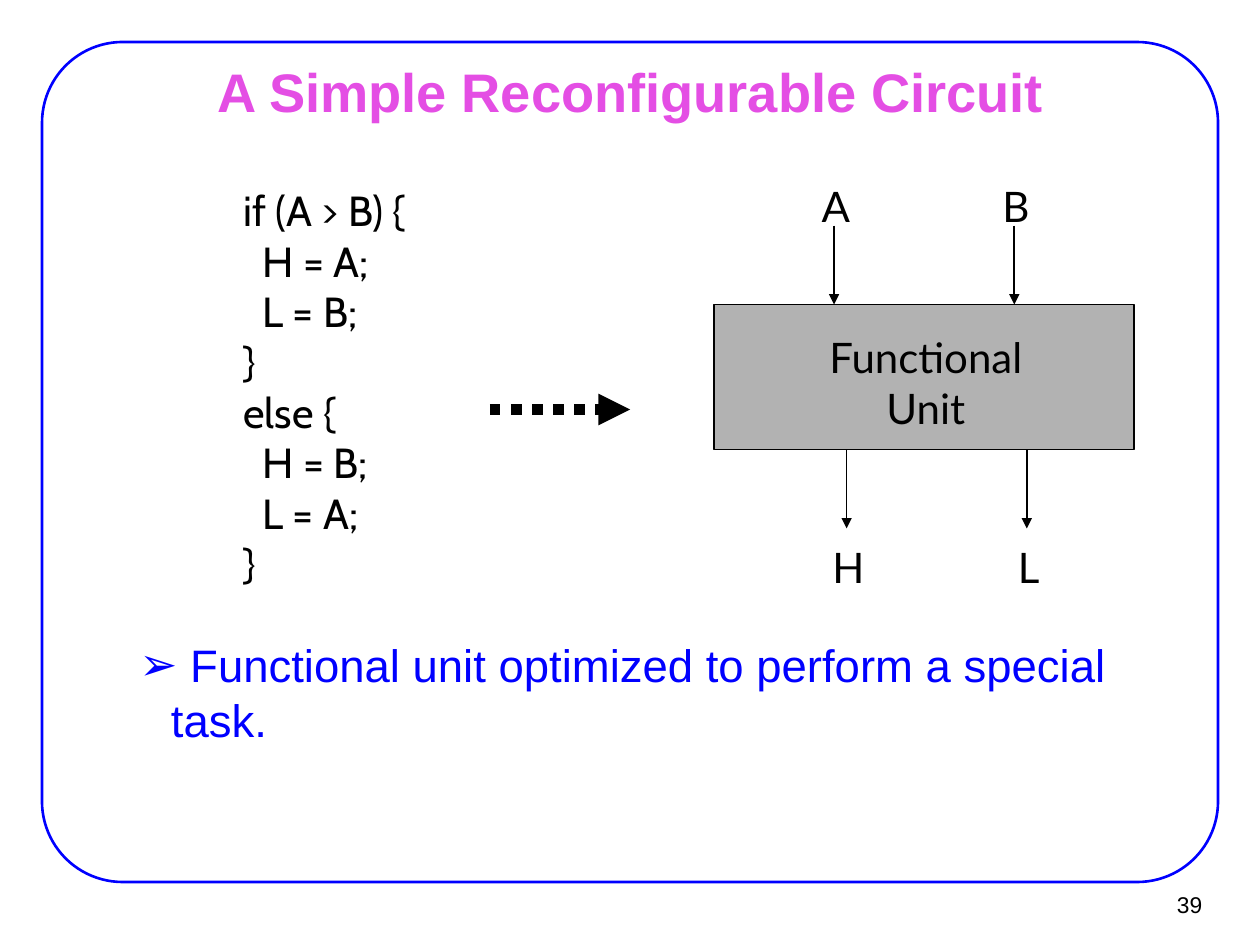
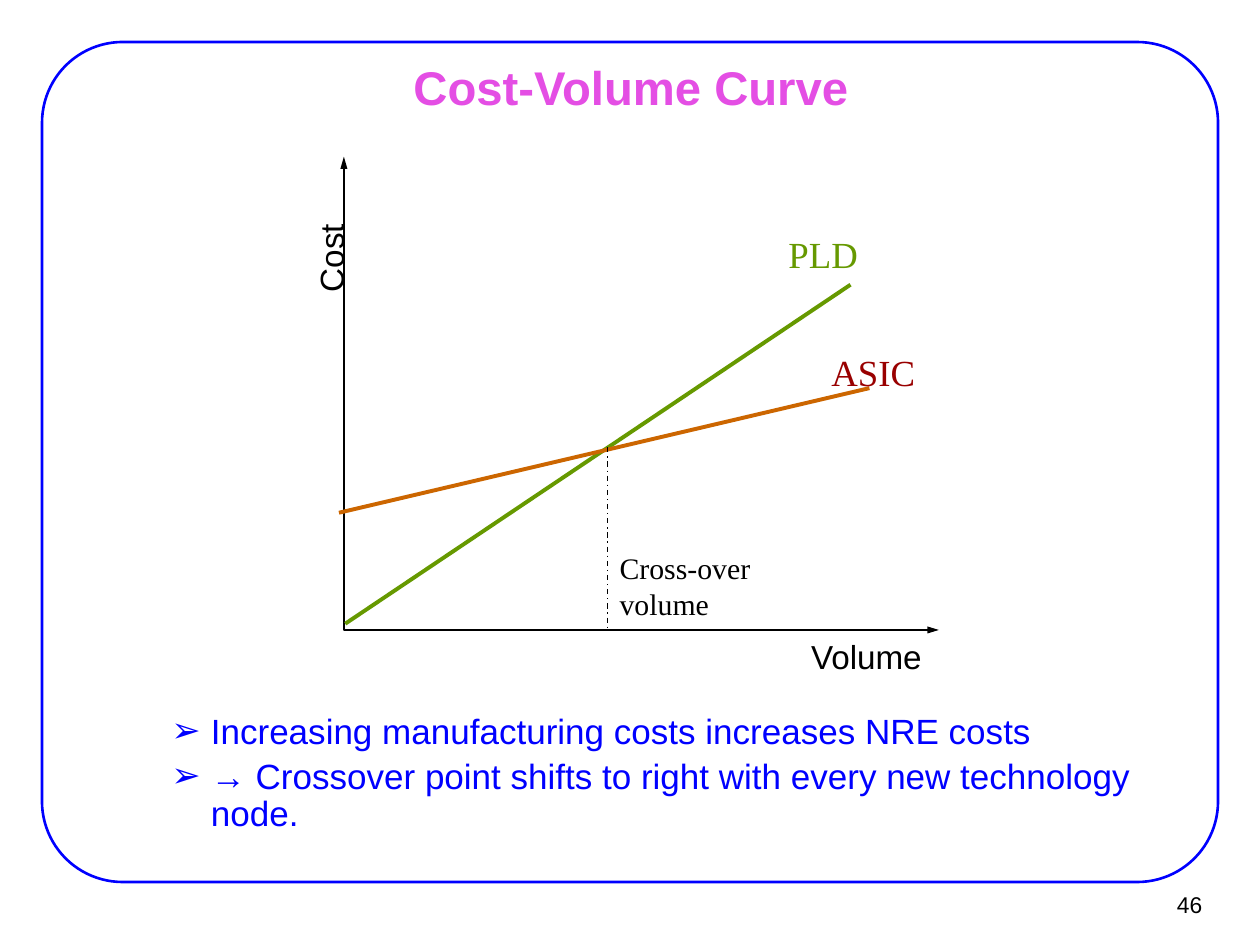
from lxml.etree import SubElement
from pptx import Presentation
from pptx.dml.color import RGBColor
from pptx.enum.dml import MSO_LINE as Dash
from pptx.enum.shapes import MSO_CONNECTOR as Connector, MSO_SHAPE as Shape
from pptx.enum.text import MSO_ANCHOR as Anchor, MSO_AUTO_SIZE as AutoSize, PP_ALIGN as Align
from pptx.oxml.ns import qn
from pptx.util import Pt

BLACK = RGBColor(0x00, 0x00, 0x00)
BLUE = RGBColor(0x00, 0x00, 0xFF)
PINK = RGBColor(0xE4, 0x4E, 0xE4)
GREY = RGBColor(0xB2, 0xB2, 0xB2)
GREEN = RGBColor(0x66, 0x99, 0x00)
ORANGE = RGBColor(0xCC, 0x66, 0x00)
DARK_RED = RGBColor(0x99, 0x00, 0x00)


def write(box, place, lines, colour=BLACK, align=Align.LEFT, anchor=Anchor.TOP,
          margins=(7.2, 3.6), **font_format):
    """Place a box and fill it with one paragraph for each line."""
    box.left, box.top, box.width, box.height = map(Pt, place)
    frame = box.text_frame
    across, down = map(Pt, margins)
    frame_format = {
        "word_wrap": True, "auto_size": AutoSize.NONE, "vertical_anchor": anchor,
        "margin_left": across, "margin_right": across,
        "margin_top": down, "margin_bottom": down,
    }
    for name, value in frame_format.items():
        setattr(frame, name, value)
    for index, line in enumerate(lines):
        para = frame.add_paragraph() if index else frame.paragraphs[0]
        para.alignment = align
        para.space_before = Pt(0)
        span = para.add_run()
        span.text = line
        span.font.color.rgb = colour
        for name, value in font_format.items():
            setattr(span.font, name, value)
    return box


def add_line(page, start, end, colour=BLACK, width=1, dash=None, arrow=False):
    line = page.shapes.add_connector(Connector.STRAIGHT, *map(Pt, start + end))
    line.line.color.rgb = colour
    line.line.width = Pt(width)
    if dash:
        line.line.dash_style = dash
    if arrow:
        SubElement(line.line._get_or_add_ln(), qn("a:tailEnd"), type="triangle")
    SubElement(line._element.spPr, qn("a:effectLst"))


deck = Presentation()
deck.slide_width, deck.slide_height = Pt(720), Pt(540)

# What the slides share: frame, page number, title, bulleted list
slide_specs = [
    {
        "number": "39", "title": "A Simple Reconfigurable Circuit",
        "title_place": (82, 15, 556, 73.5), "title_size": 31,
        "body_place": (36.5, 360.5, 646, 147), "body_size": 26,
        "margins": (7.2, 3.6), "indent": (54, -18), "spacing": 1.0,
        "bullets": [" Functional unit optimized to perform a special task."],
    },
    {
        "number": "46", "title": "Cost-Volume Curve",
        "title_place": (54.5, 31.5, 612, 35.5), "title_size": 27,
        "body_place": (54, 404, 612, 108), "body_size": 20,
        "margins": (8, 4), "indent": (58.5, -22.5), "spacing": 0.9,
        "bullets": [
            "Increasing manufacturing costs increases NRE costs",
            "→ Crossover point shifts to right with every new technology node.",
        ],
    },
]
pages = []
for content in slide_specs:
    page = deck.slides.add_slide(deck.slide_layouts[1])
    pages.append(page)
    frame = page.shapes.add_shape(Shape.ROUNDED_RECTANGLE, Pt(24), Pt(24), Pt(672), Pt(480))
    frame.adjustments[0] = 0.096
    frame.shadow.inherit = False
    frame.fill.background()
    frame.line.color.rgb = BLUE
    frame.line.width = Pt(1.5)

    write(page.shapes.add_textbox(0, 0, 0, 0), (649.5, 503.5, 44, 26.5), [content["number"]],
          align=Align.RIGHT, anchor=Anchor.MIDDLE, margins=(6.5, 3), size=Pt(13), name="Arial")
    write(page.shapes.title, content["title_place"], [content["title"]], PINK, Align.CENTER,
          Anchor.MIDDLE, content["margins"], size=Pt(content["title_size"]), name="Arial", bold=True)
    body = write(page.placeholders[1], content["body_place"], content["bullets"], BLUE,
                 margins=content["margins"], size=Pt(content["body_size"]), name="Arial")
    left, hanging = content["indent"]
    for index, para in enumerate(body.text_frame.paragraphs):
        para.level = 1
        para.line_spacing = content["spacing"]
        para.space_before = Pt(0.2 * content["body_size"] if index else 0)
        properties = para._p.get_or_add_pPr()
        properties.set("marL", str(Pt(left)))
        properties.set("indent", str(Pt(hanging)))
        SubElement(properties, qn("a:buFont"), typeface="Arial")
        SubElement(properties, qn("a:buChar"), char="➢")

circuit, curve = pages

# Circuit: functional unit with two inputs and two outputs
unit = circuit.shapes.add_shape(Shape.RECTANGLE, Pt(408), Pt(174), Pt(240), Pt(83))
unit.shadow.inherit = False
unit.fill.solid()
unit.fill.fore_color.rgb = GREY
unit.line.color.rgb = BLACK
unit.line.width = Pt(1)
diagram_font = {"size": Pt(24), "name": "Lato"}
write(circuit.shapes.add_textbox(0, 0, 0, 0), (463, 186, 132, 65), ["Functional", "Unit"],
      align=Align.CENTER, **diagram_font)

for names, first_x, arrow_top, label_top in [("AB", 476.6, 129, 99.5), ("HL", 483.8, 257, 306)]:
    for column, name in enumerate(names):
        x = first_x + 103 * column
        add_line(circuit, (x, arrow_top), (x, arrow_top + 45), arrow=True)
        write(circuit.shapes.add_textbox(0, 0, 0, 0), (x - 21, label_top, 44, 27.5), [name],
              align=Align.CENTER, **diagram_font)

code = ["if (A > B) {", "  H = A;", "  L = B;", "}", "else {", "  H = B;", "  L = A;", "}"]
write(circuit.shapes.add_textbox(0, 0, 0, 0), (132, 102, 118, 238), code, size=Pt(24), name="Cabin")
add_line(circuit, (280, 234), (360, 234), width=6, dash=Dash.ROUND_DOT, arrow=True)

# Curve: axes, arrowheads, cost lines and labels
axes = [(196.5, 96), (196.5, 360), (530.5, 360)]
cost_arrowhead = [(194.5, 96.5), (196.5, 89.5), (198.5, 96.5)]
volume_arrowhead = [(530, 358), (536.5, 360), (530, 362)]
for points, is_arrowhead in [(axes, False), (cost_arrowhead, True), (volume_arrowhead, True)]:
    corners = [(Pt(x), Pt(y)) for x, y in points]
    builder = curve.shapes.build_freeform(*corners[0])
    builder.add_line_segments(corners[1:], close=is_arrowhead)
    outline = builder.convert_to_shape()
    outline.shadow.inherit = False
    if is_arrowhead:
        outline.fill.solid()
        outline.fill.fore_color.rgb = BLACK
        outline.line.fill.background()
    else:
        outline.fill.background()
        outline.line.color.rgb = BLACK
        outline.line.width = Pt(1.25)

axis_format = {"margins": (0, 0), "size": Pt(19), "name": "Arial"}
write(curve.shapes.add_textbox(0, 0, 0, 0), (463.5, 363.5, 70, 23), ["Volume"], **axis_format)
cost_label = write(curve.shapes.add_textbox(0, 0, 0, 0), (166.5, 136, 45, 23), ["Cost"],
                   align=Align.CENTER, **axis_format)
cost_label.rotation = 270

add_line(curve, (197.3, 356.4), (486, 162.7), GREEN, 2.25)
add_line(curve, (193.7, 293), (496.8, 221.8), ORANGE, 2.25)
add_line(curve, (347, 255.6), (347, 360.7), width=0.75, dash=Dash.DASH_DOT)
for label, place, colour, size in [
    ("PLD", (443.5, 129, 100, 32.5), GREEN, 21),
    ("ASIC", (468, 196.5, 75, 32.5), DARK_RED, 21),
    ("Cross-over volume", (347, 310.5, 135.5, 48), BLACK, 17),
]:
    write(curve.shapes.add_textbox(0, 0, 0, 0), place, [label], colour,
          size=Pt(size), name="Times New Roman")

deck.save("out.pptx")
